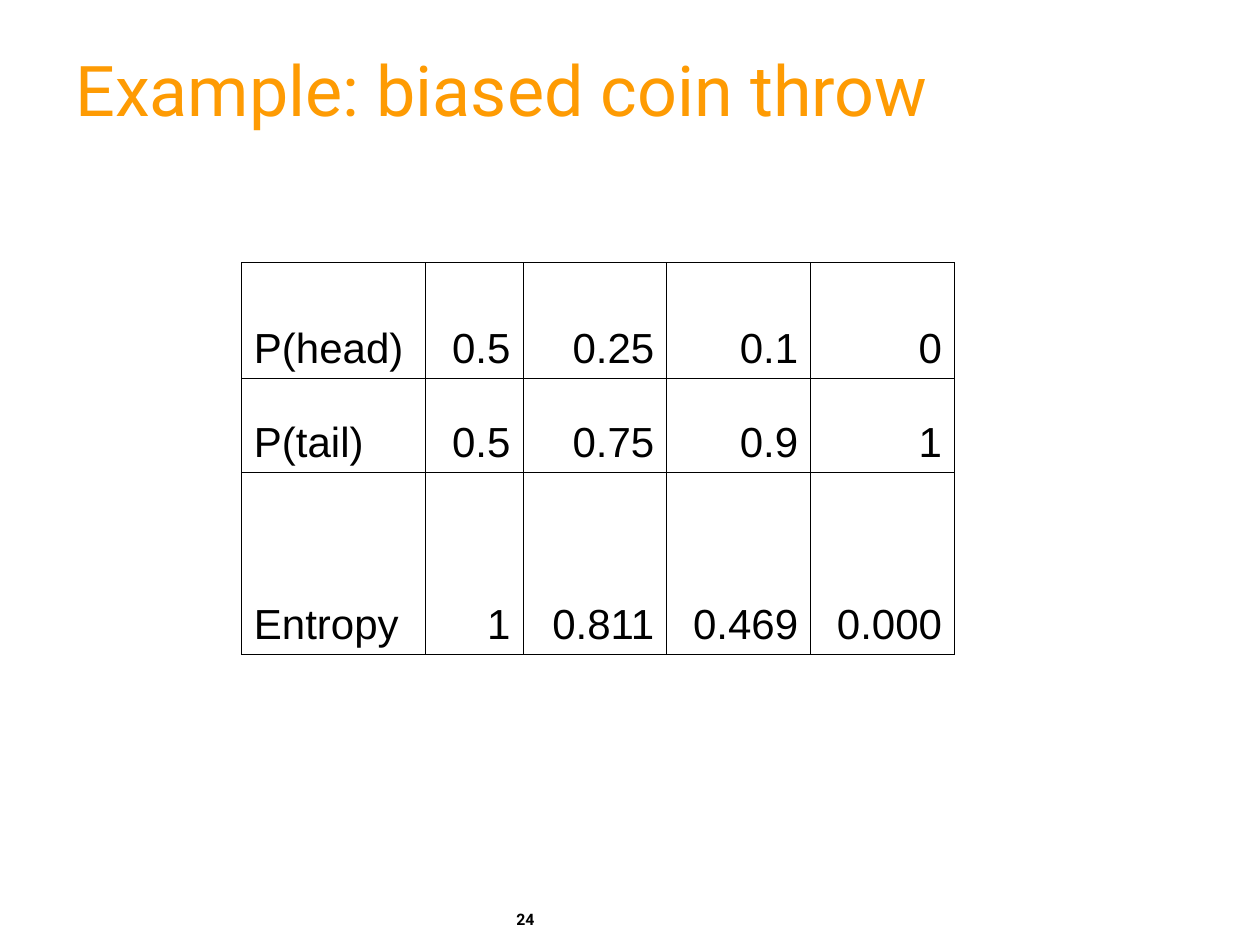
from dataclasses import dataclass

from lxml.etree import SubElement
from pptx import Presentation
from pptx.dml.color import RGBColor
from pptx.enum.text import MSO_ANCHOR as Anchor, PP_ALIGN as Align
from pptx.oxml.ns import qn
from pptx.util import Cm, Pt

COLOURS = {"title": "FE9B03", "text": "000000", "border": "000000"}
BORDER_WIDTH = Pt(0.45)

COLUMN_WIDTHS = [3.71, 1.96, 2.9, 2.9, 2.9]
ROW_HEIGHTS = [2.34, 1.9, 3.66]
COIN_ROWS = [
    ["P(head)", "0.5", "0.25", "0.1", "0"],
    ["P(tail)", "0.5", "0.75", "0.9", "1"],
    ["Entropy", "1", "0.811", "0.469", "0.000"],
]


@dataclass
class Label:
    text: str
    left: float
    top: float
    width: float
    height: float
    font: dict
    colour: str
    anchor: Anchor = Anchor.TOP
    line_spacing: float = 1.0


LABELS = [
    Label("Example: biased coin throw", 1.27, 0.64, 23.06, 2.54,
          {"name": "Roboto", "size": Pt(40)}, "title", Anchor.MIDDLE, 0.85),
    Label("24", 10.16, 18.21, 2.59, 0.84,
          {"name": "Roboto", "size": Pt(9), "bold": True}, "text"),
]
CELL_FONT = {"name": "Arial", "size": Pt(24)}
CELL_MARGINS = {"margin_left": Cm(0.25), "margin_right": Cm(0.25),
                "margin_top": Cm(0.13), "margin_bottom": Cm(0.13)}


def apply_values(target, values: dict) -> None:
    for name, value in values.items():
        setattr(target, name, value)


def write(paragraph, text: str, font: dict, colour: str) -> None:
    run = paragraph.add_run()
    run.text = text
    apply_values(run.font, font)
    run.font.color.rgb = RGBColor.from_string(COLOURS[colour])


def draw_label(slide, label: Label) -> None:
    frame = slide.shapes.add_textbox(Cm(label.left), Cm(label.top),
                                     Cm(label.width), Cm(label.height)).text_frame
    apply_values(frame, {"word_wrap": True, "vertical_anchor": label.anchor})
    paragraph = frame.paragraphs[0]
    paragraph.line_spacing = label.line_spacing
    write(paragraph, label.text, label.font, label.colour)


def add_borders(cell) -> None:
    properties = cell._tc.get_or_add_tcPr()
    for side in ("a:lnL", "a:lnR", "a:lnT", "a:lnB"):
        line = SubElement(properties, qn(side), w=str(int(BORDER_WIDTH)))
        fill = SubElement(line, qn("a:solidFill"))
        SubElement(fill, qn("a:srgbClr"), val=COLOURS["border"])


def draw_cell(cell, text: str, align: Align) -> None:
    apply_values(cell, {"vertical_anchor": Anchor.BOTTOM, **CELL_MARGINS})
    add_borders(cell)
    cell.fill.background()
    paragraph = cell.text_frame.paragraphs[0]
    paragraph.alignment = align
    write(paragraph, text, CELL_FONT, "text")


def draw_entropy_table(slide, left: float, top: float) -> None:
    table = slide.shapes.add_table(
        len(ROW_HEIGHTS), len(COLUMN_WIDTHS), Cm(left), Cm(top),
        Cm(sum(COLUMN_WIDTHS)), Cm(sum(ROW_HEIGHTS))).table
    apply_values(table, {"first_row": False, "horz_banding": False})
    for column, width in zip(table.columns, COLUMN_WIDTHS):
        column.width = Cm(width)
    for row, height, values in zip(table.rows, ROW_HEIGHTS, COIN_ROWS):
        row.height = Cm(height)
        for index, (cell, value) in enumerate(zip(row.cells, values)):
            draw_cell(cell, value, Align.RIGHT if index else Align.LEFT)


def main() -> None:
    deck = Presentation()
    apply_values(deck, {"slide_width": Cm(25.4), "slide_height": Cm(19.05)})
    slide = deck.slides.add_slide(deck.slide_layouts[6])

    # Title, then the probability table, then the page number
    title, page_number = LABELS
    draw_label(slide, title)
    draw_entropy_table(slide, 4.87, 5.29)
    draw_label(slide, page_number)

    deck.save("out.pptx")


if __name__ == "__main__":
    main()
